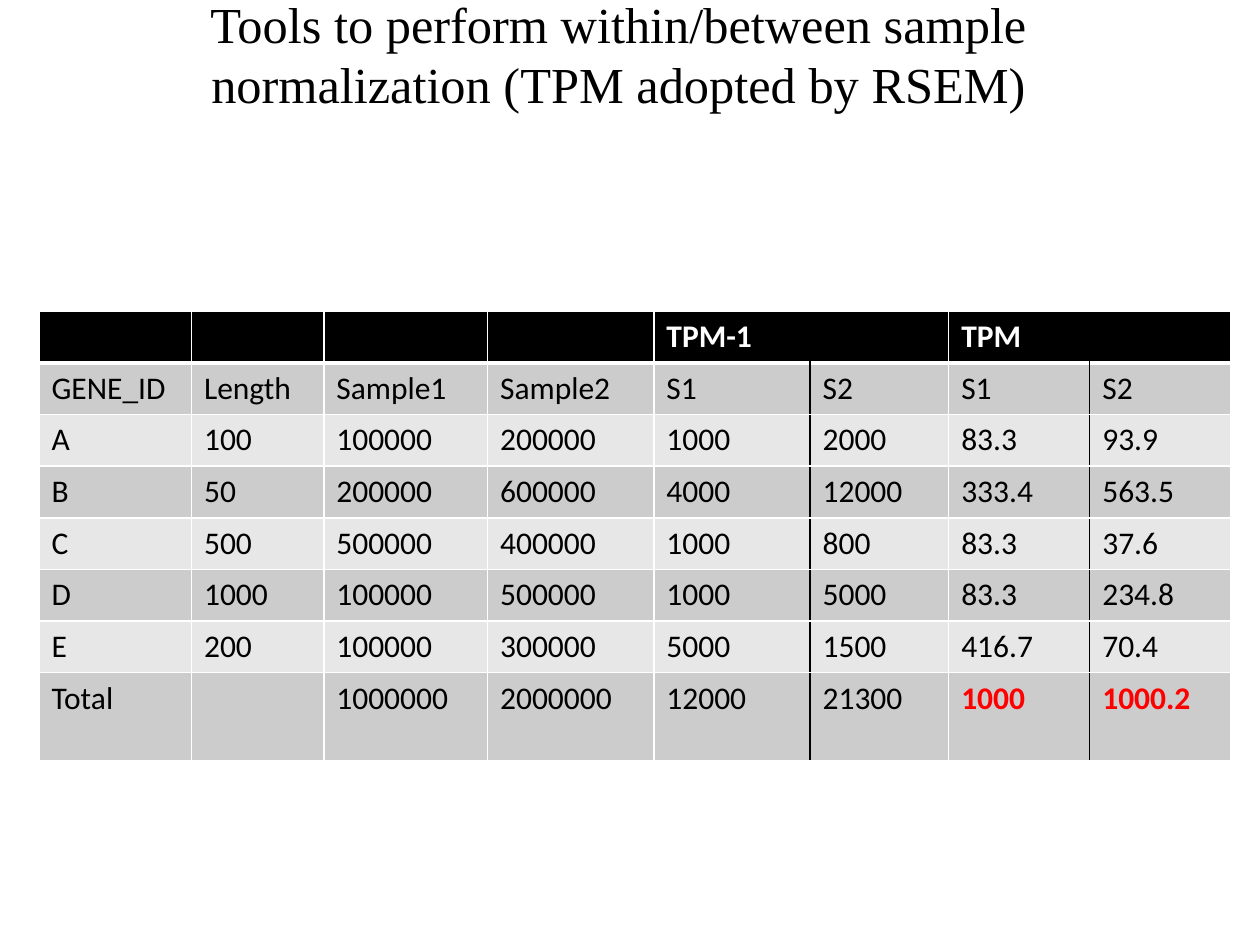
import dataclasses

import lxml.etree
import pptx
import pptx.dml.color
import pptx.enum.text
import pptx.oxml.ns
import pptx.slide
import pptx.table
import pptx.text.text
import pptx.util

Inches = pptx.util.Inches
Pt = pptx.util.Pt
RGBColor = pptx.dml.color.RGBColor

BLACK = RGBColor(0x00, 0x00, 0x00)
WHITE = RGBColor(0xFF, 0xFF, 0xFF)
RED = RGBColor(0xFF, 0x00, 0x00)
DARK_BAND = RGBColor(0xCC, 0xCC, 0xCC)
LIGHT_BAND = RGBColor(0xE7, 0xE7, 0xE7)

COLUMN_WIDTHS = (1.21, 1.05, 1.3, 1.32, 1.24, 1.1, 1.12, 1.12)
ROW_HEIGHT = 0.41
TOTAL_ROW_HEIGHT = 0.7
GROUP_COLUMNS = (4, 6)

ROWS = (
    ("", "", "", "", "TPM-1", "", "TPM", ""),
    ("GENE_ID", "Length", "Sample1", "Sample2", "S1", "S2", "S1", "S2"),
    ("A", "100", "100000", "200000", "1000", "2000", "83.3", "93.9"),
    ("B", "50", "200000", "600000", "4000", "12000", "333.4", "563.5"),
    ("C", "500", "500000", "400000", "1000", "800", "83.3", "37.6"),
    ("D", "1000", "100000", "500000", "1000", "5000", "83.3", "234.8"),
    ("E", "200", "100000", "300000", "5000", "1500", "416.7", "70.4"),
    ("Total", "", "1000000", "2000000", "12000", "21300", "1000", "1000.2"),
)
TOTAL_ROW = len(ROWS) - 1


@dataclasses.dataclass(frozen=True)
class TextStyle:
    font: str
    size: float
    color: RGBColor
    bold: bool = False


@dataclasses.dataclass(frozen=True)
class Border:
    side: str
    color: RGBColor = WHITE
    width: float = 1


TITLE_STYLE = TextStyle("Times New Roman", 28.8, BLACK)
HEADER_STYLE = TextStyle("Calibri", 18, WHITE, True)
BODY_STYLE = TextStyle("Calibri", 18, BLACK)
HIGHLIGHT_STYLE = TextStyle("Calibri", 18, RED, True)


def format_text(frame: pptx.text.text.TextFrame, style: TextStyle) -> None:
    for para in frame.paragraphs:
        for span in para.runs:
            span.font.name = style.font
            span.font.size = Pt(style.size)
            span.font.bold = style.bold
            span.font.color.rgb = style.color


def draw_border(cell: pptx.table._Cell, border: Border) -> None:
    qualify = pptx.oxml.ns.qn
    properties = cell._tc.get_or_add_tcPr()
    line = lxml.etree.SubElement(
        properties, qualify(f"a:ln{border.side}"), w=str(Pt(border.width))
    )
    fill = lxml.etree.SubElement(line, qualify("a:solidFill"))
    lxml.etree.SubElement(fill, qualify("a:srgbClr"), val=str(border.color))


def cell_borders(row: int, column: int) -> list[Border]:
    split_left = row > 0 and column - 1 in GROUP_COLUMNS
    split_right = row > 0 and column in GROUP_COLUMNS
    return [
        Border("L", BLACK if split_left else WHITE),
        Border("R", BLACK if split_right else WHITE),
        Border("T", width=3 if row == 1 else 1),
        Border("B", width=3 if row == 0 else 1),
    ]


def cell_fill(row: int) -> RGBColor:
    if row == 0:
        return BLACK
    return DARK_BAND if row % 2 else LIGHT_BAND


def cell_style(row: int, column: int) -> TextStyle:
    if row == 0:
        return HEADER_STYLE
    if row == TOTAL_ROW and column >= GROUP_COLUMNS[-1]:
        return HIGHLIGHT_STYLE
    return BODY_STYLE


def add_title(page: pptx.slide.Slide) -> None:
    title = page.shapes.title
    title.left, title.top = Inches(0.41), Inches(0)
    title.width, title.height = Inches(9), Inches(0.85)
    frame = title.text_frame
    frame.text = (
        "Tools to perform within/between sample normalization "
        "(TPM adopted by RSEM)"
    )
    frame.word_wrap = True
    frame.auto_size = pptx.enum.text.MSO_AUTO_SIZE.NONE
    frame.vertical_anchor = pptx.enum.text.MSO_ANCHOR.MIDDLE
    frame.paragraphs[0].alignment = pptx.enum.text.PP_ALIGN.CENTER
    format_text(frame, TITLE_STYLE)


def add_expression_table(page: pptx.slide.Slide) -> None:
    table = page.shapes.add_table(
        len(ROWS),
        len(COLUMN_WIDTHS),
        Inches(0.31),
        Inches(2.47),
        Inches(sum(COLUMN_WIDTHS)),
        Inches(ROW_HEIGHT * TOTAL_ROW + TOTAL_ROW_HEIGHT),
    ).table
    for column, width in zip(table.columns, COLUMN_WIDTHS):
        column.width = Inches(width)
    for row in table.rows:
        row.height = Inches(ROW_HEIGHT)
    table.rows[TOTAL_ROW].height = Inches(TOTAL_ROW_HEIGHT)
    for column in GROUP_COLUMNS:
        table.cell(0, column).merge(table.cell(0, column + 1))

    for row, values in enumerate(ROWS):
        for column, value in enumerate(values):
            cell = table.cell(row, column)
            for border in cell_borders(row, column):
                draw_border(cell, border)
            cell.fill.solid()
            cell.fill.fore_color.rgb = cell_fill(row)
            if value:
                cell.text_frame.text = value
                format_text(cell.text_frame, cell_style(row, column))


def main() -> None:
    deck = pptx.Presentation()
    deck.slide_width, deck.slide_height = Inches(10), Inches(7.5)
    page = deck.slides.add_slide(deck.slide_layouts[5])
    add_title(page)
    add_expression_table(page)
    deck.save("out.pptx")


if __name__ == "__main__":
    main()
